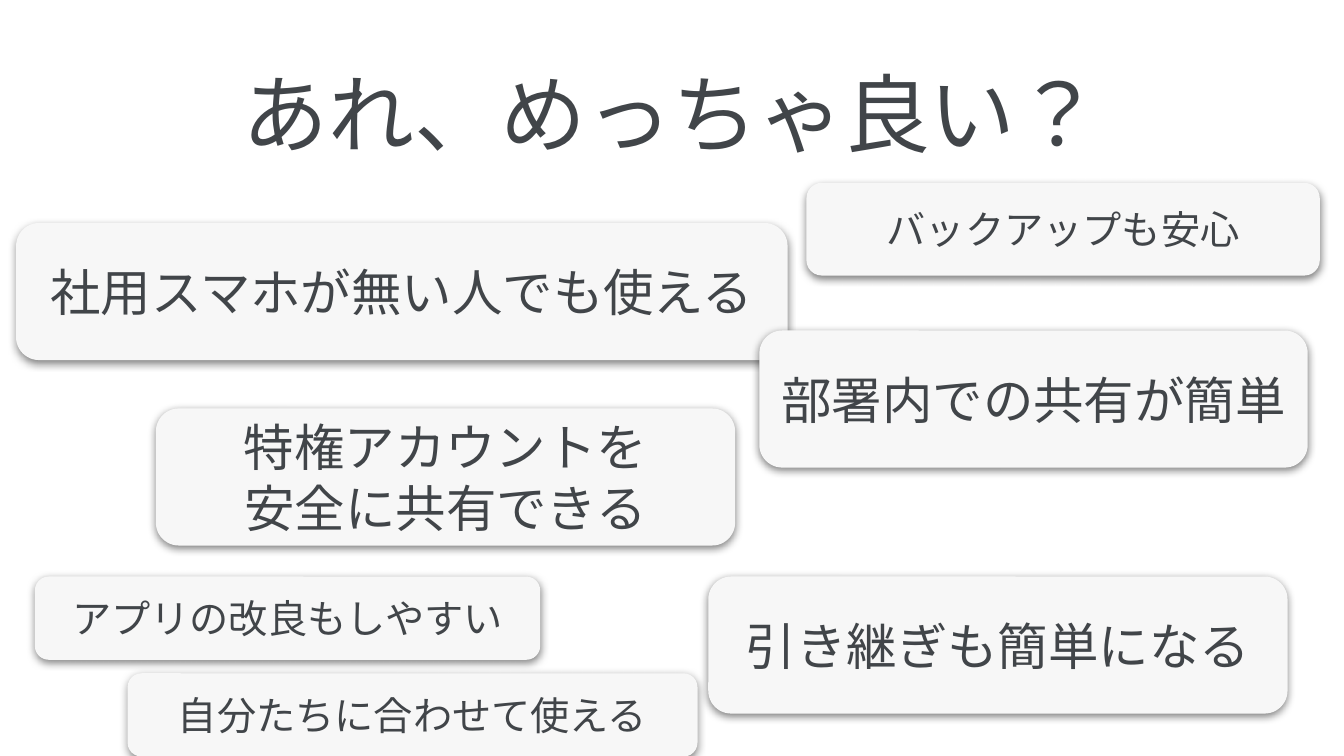
"""Build a slide of overlapping benefit cards under a centred question."""
import lxml.etree
import pptx
import pptx.dml.color
import pptx.enum.lang
import pptx.enum.shapes
import pptx.enum.text
import pptx.oxml.ns
import pptx.util


def color(hex_string):
    return pptx.dml.color.RGBColor.from_string(hex_string)


def child(parent, tag, **attributes):
    return lxml.etree.SubElement(parent, pptx.oxml.ns.qn(tag), attributes)


def write(shape, text, *, size, font, ink):
    frame = shape.text_frame
    frame.word_wrap = True
    frame.auto_size = pptx.enum.text.MSO_AUTO_SIZE.NONE
    frame.vertical_anchor = pptx.enum.text.MSO_ANCHOR.MIDDLE
    for side in ("left", "top", "right", "bottom"):
        setattr(frame, f"margin_{side}", pptx.util.Inches(0.1))
    para = frame.paragraphs[0]
    para.text = text
    para.alignment = pptx.enum.text.PP_ALIGN.CENTER
    for span in para.runs:
        span.font.size = pptx.util.Pt(size)
        span.font.name = font
        span.font.color.rgb = color(ink)
        span.font.language_id = pptx.enum.lang.MSO_LANGUAGE_ID.JAPANESE
        span.font._element.set("kern", "0")
        child(span.font._element, "a:ea", typeface=font)


class Painter:
    font = "Noto Sans CJK JP"
    ink = "414549"
    card_fill = "F7F7F7"
    shadow = "000000"

    def __init__(self, deck, page):
        self.deck = deck
        self.page = page

    def place(self, left, top, width, height):
        across, down = self.deck.slide_width, self.deck.slide_height
        return [round(share * whole / 100) for share, whole in
                ((left, across), (top, down), (width, across), (height, down))]

    def title(self, text, *area, size):
        box = self.page.shapes.title
        box.left, box.top, box.width, box.height = self.place(*area)
        write(box, text, size=size, font=self.font, ink=self.ink)

    def card(self, text, *area, size):
        box = self.page.shapes.add_shape(
            pptx.enum.shapes.MSO_SHAPE.ROUNDED_RECTANGLE, *self.place(*area))
        box.adjustments[0] = 0.167
        box.fill.solid()
        box.fill.fore_color.rgb = color(self.card_fill)
        box.line.fill.background()
        self.cast_shadow(box)
        write(box, text, size=size, font=self.font, ink=self.ink)

    def cast_shadow(self, box):
        box.shadow.inherit = False
        effects = box._element.spPr.find(pptx.oxml.ns.qn("a:effectLst"))
        outer = child(effects, "a:outerShdw", blurRad=str(pptx.util.Pt(4.5)),
                      dist=str(pptx.util.Pt(1.5)), dir="5400000",
                      algn="bl", rotWithShape="0")
        tint = child(outer, "a:srgbClr", val=self.shadow)
        child(tint, "a:alpha", val="50000")


def main():
    deck = pptx.Presentation()
    deck.slide_width = pptx.util.Inches(10)
    deck.slide_height = deck.slide_width * 9 // 16
    page = deck.slides.add_slide(deck.slide_layouts.get_by_name("Title Only"))
    painter = Painter(deck, page)
    painter.title("あれ、めっちゃ良い？", 15.9, 5.51, 68.2, 18.67, size=46)

    large, small = 27, 21
    tall, low = 18.13, 11.02
    cards = [
        ("社用スマホが無い人でも使える", 1.2, 29.51, 57.4, tall, large),
        ("部署内での共有が簡単", 56.5, 43.73, 40.8, tall, large),
        ("特権アカウントを\n安全に共有できる", 11.6, 54.04, 43.1, tall, large),
        ("引き継ぎも簡単になる", 52.7, 76.27, 43.1, tall, large),
        ("アプリの改良もしやすい", 2.6, 76.27, 37.6, low, small),
        ("バックアップも安心", 60, 24.18, 38.2, 12.27, small),
        ("自分たちに合わせて使える", 9.5, 89.07, 42.4, low, small),
    ]
    for text, *area, size in cards:
        painter.card(text, *area, size=size)
    deck.save("out.pptx")


if __name__ == "__main__":
    main()
